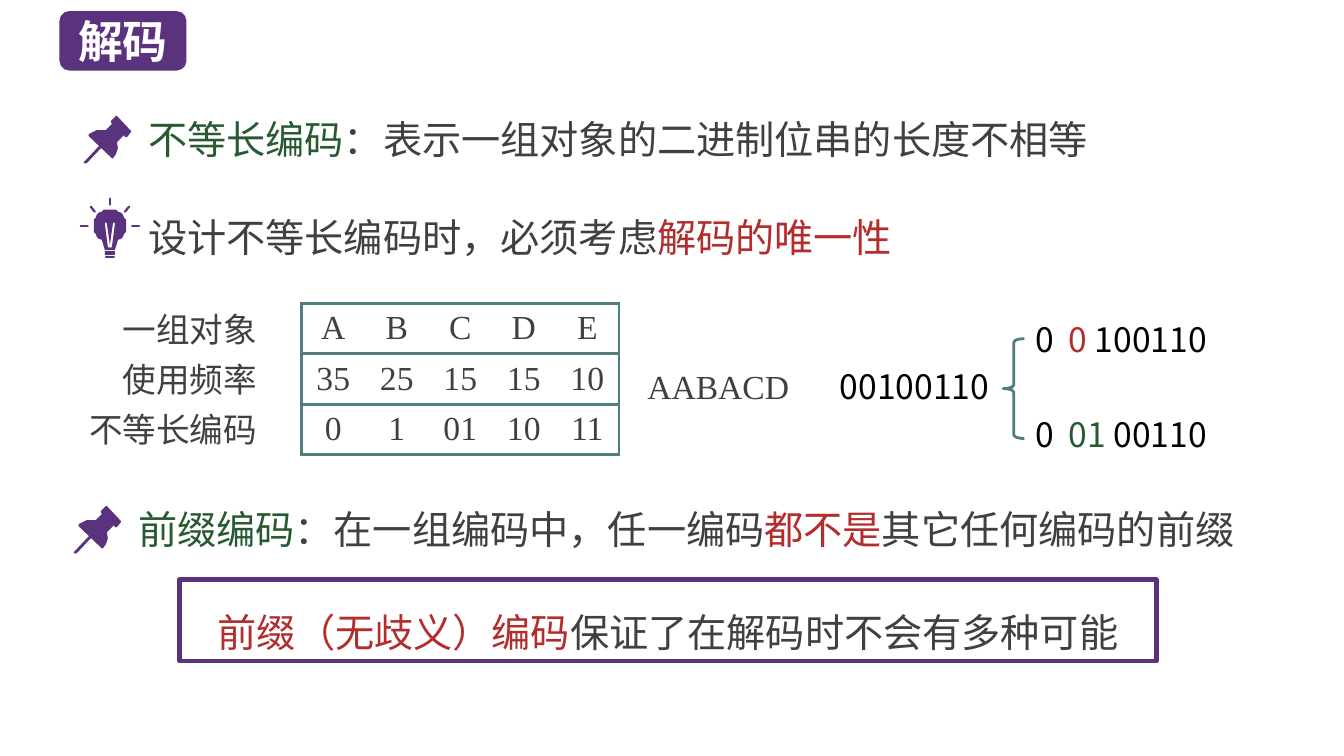
import math
from dataclasses import dataclass

import pptx
import pptx.dml.color
import pptx.enum.shapes
import pptx.enum.text
import pptx.oxml
import pptx.oxml.ns
import pptx.util
from pptx.util import Inches

MSO = pptx.enum.shapes.MSO_SHAPE
ALIGN = pptx.enum.text.PP_ALIGN
ANCHOR = pptx.enum.text.MSO_ANCHOR
qn = pptx.oxml.ns.qn
NS = pptx.oxml.ns.nsdecls("a")


@dataclass(frozen=True)
class Theme:
    purple: str = "5A327D"
    green: str = "285A32"
    red: str = "B42D2D"
    teal: str = "507D7D"
    grey: str = "404040"
    black: str = "000000"
    white: str = "FFFFFF"
    serif: str = "Times New Roman"
    sans: str = "Noto Sans CJK SC"
    title: int = 32
    body: int = 28
    small: int = 24


T = Theme()

ROWS = [
    ("一组对象", ["A", "B", "C", "D", "E"]),
    ("使用频率", ["35", "25", "15", "15", "10"]),
    ("不等长编码", ["0", "1", "01", "10", "11"]),
]
ROW_HEIGHT = 0.5

# Outlines in hundredths of an inch
PIN_HEAD = [(47, 15), (33, 0), (32, 0), (27, 5), (27, 6), (28, 8), (22, 14), (17, 14),
            (13, 14.5), (9, 16), (5, 18), (5, 20), (28, 42), (29, 42), (32, 38),
            (34, 32), (33, 26), (40, 19), (41, 21), (43, 21), (47, 16)]
PIN_NEEDLE = [(3, 47), (1, 47), (0, 46), (1, 45), (16, 29), (18, 29), (18, 31)]
FILAMENT = [(2, 21), (1, 22), (0, 21), (-1, 22), (-2, 21), (-5, -1.5), (-4, -3.5),
            (-3, -2), (0, 19), (3, -2), (4, -3.5), (5, -1.5)]


def rgb(color):
    return pptx.dml.color.RGBColor.from_string(color)


def write(tf, runs, size, font=T.serif, bold=False, tab=None, insets=(0, 0.05, 0, 0.05),
          anchor=ANCHOR.MIDDLE, **paragraph_format):
    """Fill a text frame with one paragraph of (text, colour) runs."""
    sides = zip(("left", "top", "right", "bottom"), insets)
    frame = {f"margin_{side}": Inches(inset) for side, inset in sides}
    frame.update(word_wrap=True, vertical_anchor=anchor)
    for name, value in frame.items():
        setattr(tf, name, value)
    p = tf.paragraphs[0]
    for name, value in paragraph_format.items():
        setattr(p, name, value)
    if tab:
        p._p.get_or_add_pPr().append(pptx.oxml.parse_xml(
            f'<a:tabLst {NS}><a:tab pos="{Inches(tab)}" algn="l"/></a:tabLst>'))
    for text, color in runs:
        r = p.add_run()
        r.text = text
        for name, value in dict(name=font, size=pptx.util.Pt(size), bold=bold).items():
            setattr(r.font, name, value)
        r.font.color.rgb = rgb(color)
        r._r.get_or_add_rPr().append(pptx.oxml.parse_xml(f'<a:ea {NS} typeface="{T.sans}"/>'))


def add_text(s, box, runs, size, **options):
    write(s.shapes.add_textbox(*map(Inches, box)).text_frame, runs, size, **options)


def paint(sp, fill=None, line=None, width=1):
    sp.shadow.inherit = False
    if fill:
        sp.fill.solid()
        sp.fill.fore_color.rgb = rgb(fill)
    else:
        sp.fill.background()
    if line:
        sp.line.color.rgb = rgb(line)
        sp.line.width = pptx.util.Pt(width)
    else:
        sp.line.fill.background()


def add_preset(s, kind, box, **colors):
    sp = s.shapes.add_shape(kind, *map(Inches, box))
    paint(sp, **colors)
    return sp


def add_outline(s, origin, *contours):
    builder = None
    for start, *rest in contours:
        if builder is None:
            builder = s.shapes.build_freeform(*start, scale=Inches(0.01))
        else:
            builder.move_to(*start)
        builder.add_line_segments(rest, close=True)
    paint(builder.convert_to_shape(*map(Inches, origin)), fill=T.purple)


def add_pin(s, left, top):
    for contour in (PIN_HEAD, PIN_NEEDLE):
        add_outline(s, (left, top), contour)


def add_stroke(s, x1, y1, x2, y2):
    line = s.shapes.add_connector(pptx.enum.shapes.MSO_CONNECTOR.STRAIGHT,
                                  *map(Inches, (x1, y1, x2, y2)))
    line.line.color.rgb = rgb(T.purple)
    line.line.width = pptx.util.Pt(1.6)
    line.line._get_or_add_ln().set("cap", "rnd")
    line._element.spPr.append(pptx.oxml.parse_xml(f"<a:effectLst {NS}/>"))


def add_bulb(s, cx, cy):
    angles = [math.radians(a) for a in range(120, 421, 10)]
    glass = [(16.5 * math.cos(a), 16.5 * math.sin(a)) for a in angles]
    add_outline(s, (cx, cy), glass + [(5, 23.5), (-5, 23.5)], FILAMENT)
    add_preset(s, MSO.ROUNDED_RECTANGLE, (cx - 0.05, cy + 0.25, 0.1, 0.04), fill=T.purple)
    add_stroke(s, cx - 0.04, cy + 0.31, cx + 0.04, cy + 0.31)
    add_stroke(s, cx, cy - 0.27, cx, cy - 0.21)
    for side in (-1, 1):
        add_stroke(s, cx + side * 0.22, cy, cx + side * 0.29, cy)
        add_stroke(s, cx + side * 0.15, cy - 0.14, cx + side * 0.19, cy - 0.19)


def border_cell(cell, sides):
    """Rule the named sides of a cell and leave the others bare."""
    cell.fill.background()
    tc_pr = cell._tc.get_or_add_tcPr()
    for i, side in enumerate("LRTB"):
        paint_xml = (f'<a:solidFill><a:srgbClr val="{T.teal}"/></a:solidFill>'
                     if side in sides else "<a:noFill/>")
        tc_pr.insert(i, pptx.oxml.parse_xml(
            f'<a:ln{side} {NS} w="{pptx.util.Pt(2.25)}">{paint_xml}</a:ln{side}>'))


def add_code_table(s, left, top, width):
    columns = len(ROWS[0][1])
    table = s.shapes.add_table(len(ROWS), columns, Inches(left), Inches(top),
                               Inches(width), Inches(ROW_HEIGHT * len(ROWS))).table
    table.first_row = table.horz_banding = False
    for i, (label, values) in enumerate(ROWS):
        add_text(s, (0.72, top + i * ROW_HEIGHT, 1.83, ROW_HEIGHT), [(label, T.grey)],
                 T.small, alignment=ALIGN.RIGHT)
        for j, value in enumerate(values):
            cell = table.cell(i, j)
            write_cell(cell, value)
            border_cell(cell, "TB" + "L" * (j == 0) + "R" * (j == columns - 1))


def write_cell(cell, value):
    cell.margin_left = cell.margin_right = 0
    cell.margin_top = cell.margin_bottom = Inches(0.03)
    cell.vertical_anchor = ANCHOR.MIDDLE
    p = cell.text_frame.paragraphs[0]
    p.alignment = ALIGN.CENTER
    r = p.add_run()
    r.text = value
    for name, setting in dict(name=T.serif, size=pptx.util.Pt(T.small)).items():
        setattr(r.font, name, setting)
    r.font.color.rgb = rgb(T.grey)


def add_decodings(s):
    add_text(s, (6.42, 3.57, 1.6, 0.51), [("AABACD", T.grey)], T.small)
    bits = dict(size=T.small, font=T.sans)
    add_text(s, (8.33, 3.57, 1.6, 0.51), [("00100110", T.black)], **bits)
    brace = add_preset(s, MSO.LEFT_BRACE, (9.95, 3.36, 0.21, 0.99), line=T.teal, width=2)
    brace.adjustments[0] = 0.17
    for top, code, color, rest in ((3.11, "0", T.red, " 100110"),
                                   (4.06, "01", T.green, " 00110")):
        add_text(s, (10.27, top, 1.9, 0.5),
                 [("0\t", T.black), (code, color), (rest, T.black)], tab=0.33, **bits)


def main():
    prs = pptx.Presentation()
    prs.slide_width, prs.slide_height = Inches(13.33), Inches(7.5)
    s = prs.slides.add_slide(prs.slide_layouts[6])

    badge = add_preset(s, MSO.ROUNDED_RECTANGLE, (0.59, 0.11, 1.26, 0.59), fill=T.purple)
    write(badge.text_frame, [("解码", T.white)], T.title, font=T.sans, bold=True,
          insets=(0, 0, 0, 0), alignment=ALIGN.CENTER)

    statements = [
        ((1.47, 1.01, 9.8, 0.66),
         [("不等长编码", T.green), ("：表示一组对象的二进制位串的长度不相等", T.grey)]),
        ((1.47, 1.98, 9.8, 0.66),
         [("设计不等长编码时，必须考虑", T.grey), ("解码的唯一性", T.red)]),
        ((1.37, 4.88, 11.23, 0.66),
         [("前缀编码", T.green), ("：在一组编码中，任一编码", T.grey),
          ("都不是", T.red), ("其它任何编码的前缀", T.grey)]),
    ]
    for box, runs in statements:
        add_text(s, box, runs, T.body, anchor=ANCHOR.TOP, line_spacing=pptx.util.Pt(40))
    add_pin(s, 0.83, 1.15)
    add_bulb(s, 1.09, 2.24)
    add_pin(s, 0.73, 5.02)

    add_code_table(s, 2.99, 3.01, 3.15)
    add_decodings(s)

    frame = add_preset(s, MSO.RECTANGLE, (1.78, 5.75, 9.69, 0.81), line=T.purple, width=3)
    write(frame.text_frame,
          [("前缀（无歧义）编码", T.red), ("保证了在解码时不会有多种可能", T.grey)],
          T.body, alignment=ALIGN.CENTER, line_spacing=1.5)
    prs.save("out.pptx")


if __name__ == "__main__":
    main()
